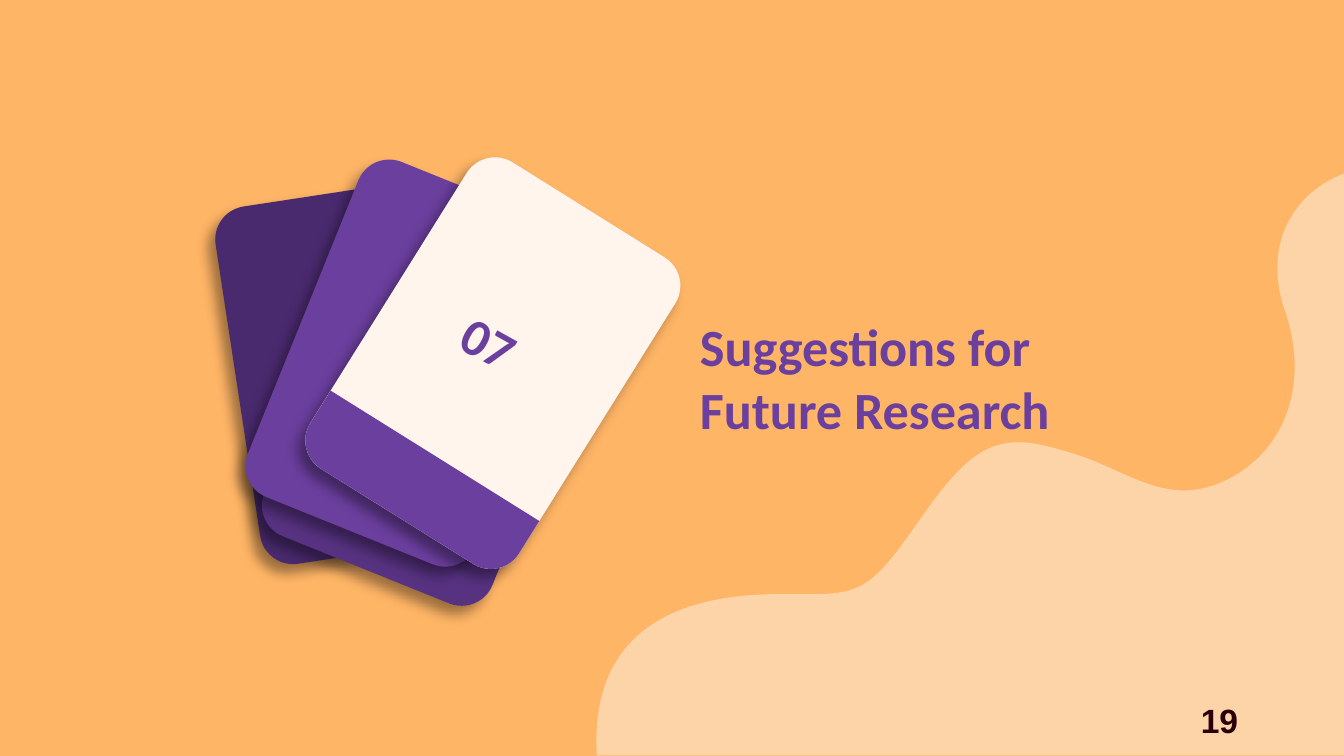
from dataclasses import dataclass
from math import cos, radians, sin

from lxml import etree
from pptx import Presentation
from pptx.dml.color import RGBColor
from pptx.enum.shapes import MSO_SHAPE
from pptx.enum.text import MSO_ANCHOR, PP_ALIGN
from pptx.oxml import parse_xml
from pptx.oxml.ns import nsdecls, qn
from pptx.util import Cm, Pt

ROUND = MSO_SHAPE.ROUNDED_RECTANGLE
BASE = MSO_SHAPE.ROUND_2_SAME_RECTANGLE
MIDDLE = MSO_ANCHOR.MIDDLE
LEFT, RIGHT = PP_ALIGN.LEFT, PP_ALIGN.RIGHT


@dataclass(frozen=True)
class Theme:
    back: str = "FFB566"
    wave: str = "FDD3A8"
    dark: str = "4A2A6F"
    deep: str = "573281"
    main: str = "6B3F9E"
    pale: str = "FFF5ED"
    ink: str = "29000A"
    head: str = "Calibri"
    body: str = "Arial"
    large: int = 28
    small: int = 18


THEME = Theme()

# Card sizes in cm
WIDE, TALL, BAND, CURVE = 4.65, 6.83, 1.35, 0.63

# Wave edge in cm: a start, then two controls and an end for each curve
EDGE = [
    (14.25, 0),
    (13.31, 0.36), (12.67, 1.35), (13.16, 2.67),
    (13.59, 4.04), (13.11, 5.18), (12.17, 5.72),
    (11.81, 5.92), (11.51, 5.99), (11.23, 5.99),
    (10.49, 5.99), (9.88, 5.51), (9.09, 5.28),
    (8.69, 5.16), (8.38, 5.08), (8.1, 5.08),
    (7.47, 5.08), (7.04, 5.44), (6.43, 6.27),
    (5.44, 7.67), (5.28, 7.95), (4.24, 7.95),
    (4.02, 7.95), (3.8, 7.95), (3.58, 7.95),
    (1.42, 7.95), (0, 8.81), (0.13, 11),
]


def paint(shape, color):
    shape.shadow.inherit = False
    shape.fill.solid()
    shape.fill.fore_color.rgb = RGBColor.from_string(color)
    shape.line.fill.background()


def shade(shape):
    """Give a shape a soft shadow to the lower left."""
    props = shape._element.spPr
    props.remove(props.find(qn("a:effectLst")))
    props.append(parse_xml(
        f'<a:effectLst {nsdecls("a")}>'
        f'<a:outerShdw blurRad="{Pt(6.8)}" dist="{Pt(6)}" dir="{131 * 60000}"'
        ' algn="bl" rotWithShape="0"><a:srgbClr val="000000">'
        '<a:alpha val="38000"/></a:srgbClr></a:outerShdw></a:effectLst>'))


def write(slide, box, text, font, size, color, align=LEFT, turn=0):
    frame = slide.shapes.add_textbox(*map(Cm, box))
    frame.rotation = turn
    body = frame.text_frame
    body.word_wrap = True
    body.vertical_anchor = MIDDLE
    para = body.paragraphs[0]
    para.text = text
    para.alignment = align
    para.font.name = font
    para.font.size = Pt(size)
    para.font.bold = True
    para.font.color.rgb = RGBColor.from_string(color)


def wave(slide, box):
    left, top, width, height = box
    spots = [(Cm(left + x), Cm(top + y)) for x, y in EDGE]
    corner = (Cm(left + width), Cm(top + height))
    form = slide.shapes.build_freeform(*spots[0], scale=1.0)
    form.add_line_segments(spots[1:] + [corner], close=True)
    shape = form.convert_to_shape()
    paint(shape, THEME.wave)

    # Join each three points of the edge into one curve
    lines = list(shape._element.iter(qn("a:lnTo")))[:len(spots) - 1]
    for i in range(0, len(lines), 3):
        curve = etree.Element(qn("a:cubicBezTo"))
        lines[i].addprevious(curve)
        for line in lines[i:i + 3]:
            curve.append(line[0])
            line.getparent().remove(line)


def card(shapes, left, top, turn, color):
    shape = shapes.add_shape(ROUND, Cm(left), Cm(top), Cm(WIDE), Cm(TALL))
    shape.adjustments[0] = CURVE / WIDE
    shape.rotation = turn
    paint(shape, color)
    shade(shape)


def deck(slide, box, label):
    left, top = box[:2]

    # Cards behind
    for x, y, turn, color in [
        (0, 0.16, -8.7, THEME.dark),
        (1.4, 0.74, 22, THEME.deep),
        (1.09, 0, 22, THEME.main),
    ]:
        card(slide.shapes, left + x, top + y, turn, color)

    # Front card with a band along its foot
    turn, x = 32, left + 2.52
    group = slide.shapes.add_group_shape()
    card(group.shapes, x, top, turn, THEME.pale)
    reach = (TALL - BAND) / 2
    angle = radians(turn)
    band = group.shapes.add_shape(
        BASE, Cm(x - reach * sin(angle)),
        Cm(top + reach + reach * cos(angle)), Cm(WIDE), Cm(BAND))
    band.adjustments[0] = 0
    band.adjustments[1] = CURVE / BAND
    band.rotation = turn
    paint(band, THEME.main)

    # Section number
    write(slide, (left + 3.48, top + 3.84, 10.44, 2.67), label,
          THEME.head, THEME.large, THEME.main, turn=29)


def section(deck_file, label, title, page):
    slide = deck_file.slides.add_slide(deck_file.slide_layouts[6])
    fill = slide.background.fill
    fill.solid()
    fill.fore_color.rgb = RGBColor.from_string(THEME.back)
    wave(slide, (11.15, 3.28, 14.25, 11))
    deck(slide, (4.47, 3.45, 8.7, 8), label)
    write(slide, (12.98, 6.35, 14.94, 1.55), title,
          THEME.head, THEME.large, THEME.main)
    write(slide, (17.93, 13.23, 5.72, 0.76), page,
          THEME.body, THEME.small, THEME.ink, RIGHT)


def main():
    show = Presentation()
    show.slide_width, show.slide_height = Cm(25.4), Cm(14.29)
    section(show, "07", "Suggestions for \vFuture Research", "19")
    show.save("out.pptx")


if __name__ == "__main__":
    main()
